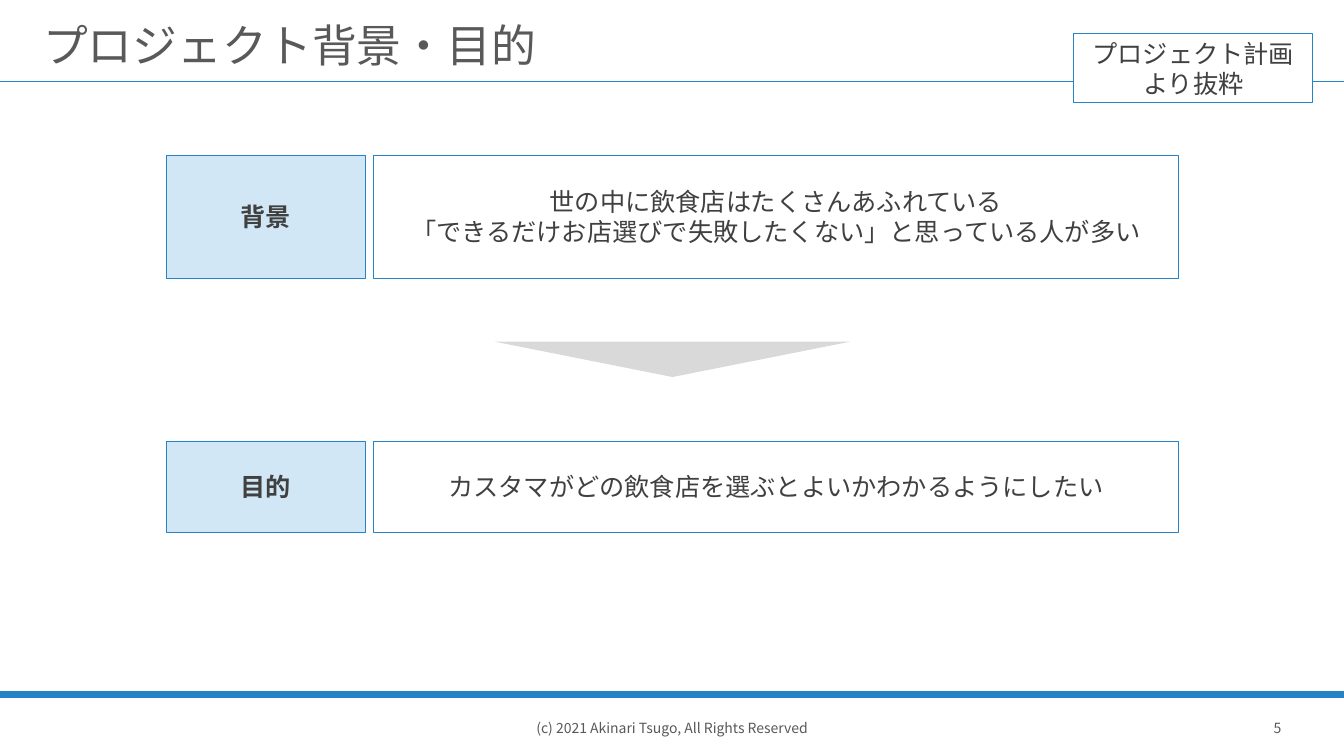
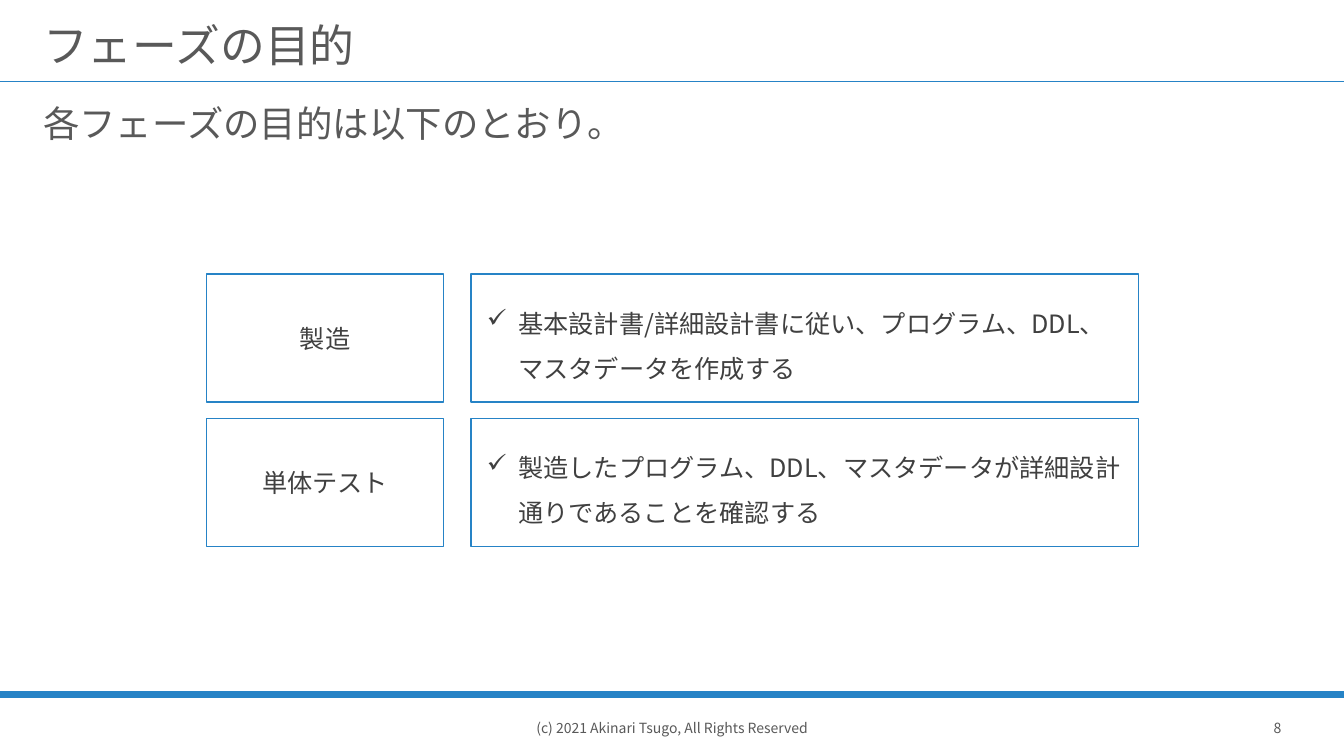
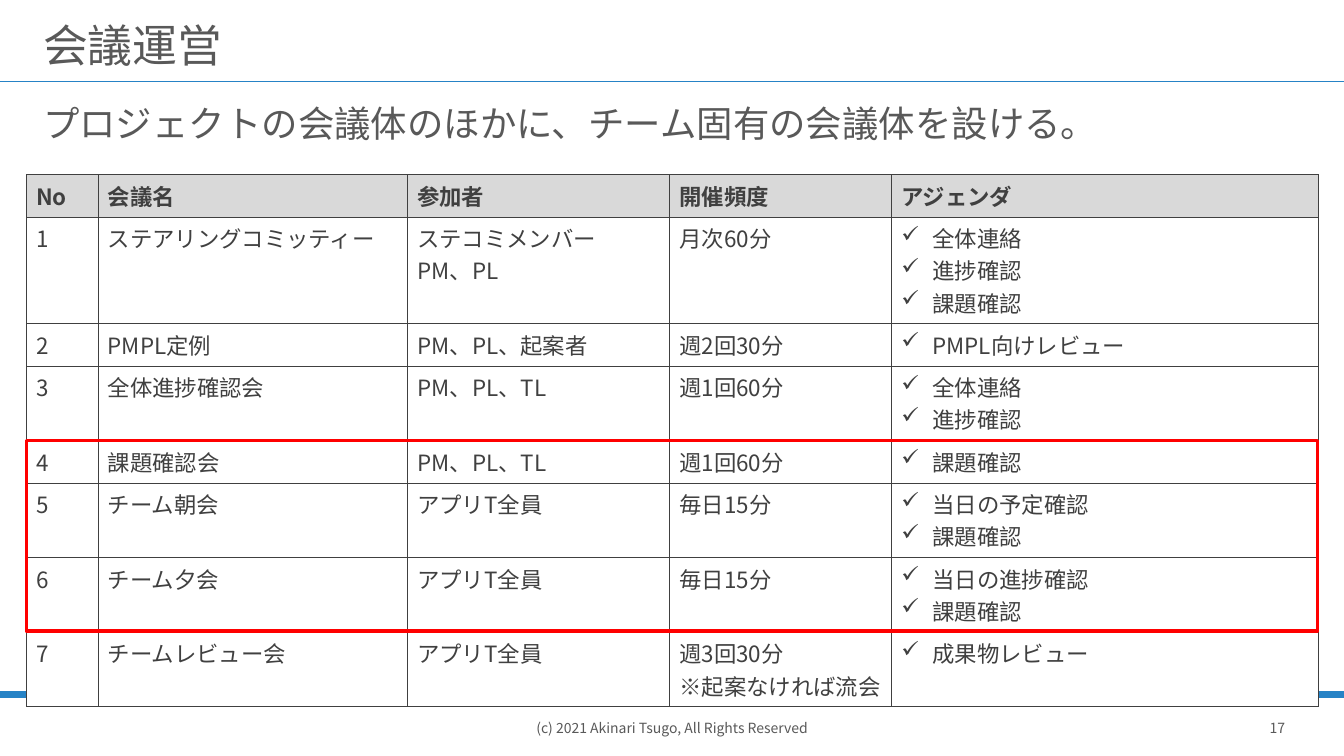
from dataclasses import dataclass

from lxml.etree import SubElement as Sub
from pptx import Presentation
from pptx.dml.color import RGBColor as Rgb
from pptx.enum.shapes import MSO_CONNECTOR as Conn, MSO_SHAPE as Form
from pptx.enum.text import MSO_ANCHOR as Anchor, PP_ALIGN as Align
from pptx.oxml.ns import qn
from pptx.util import Inches, Pt

FONT = "Noto Sans CJK JP"
COLORS = {
    "blue": "2683C6", "pale": "D1E7F6", "white": "FFFFFF", "gray": "D9D9D9",
    "head": "595959", "text": "404040", "red": "FF0000",
}
WIDTH, HEIGHT = 13.33, 7.5
INSET = (0.1, 0.05, 0.1, 0.05)
CHECK = "✓"
HANG = 0.31


@dataclass
class Box:
    """Position and size in inches."""
    left: float
    top: float
    width: float
    height: float

    def lengths(self) -> list:
        return [Inches(n) for n in (self.left, self.top, self.width, self.height)]


@dataclass
class Pair:
    """A label box with the box that explains it."""
    label: str
    text: str
    top: float
    height: float


@dataclass
class Meeting:
    name: str
    members: str
    cycle: str
    agenda: str
    height: float


def color(name: str) -> Rgb:
    return Rgb.from_string(COLORS[name])


# Text
def write(frame, text: str, *, size=18, tint="text", bold=False, align=Align.LEFT,
          space=1.0, before=0, bullet=False) -> None:
    """Fill a text frame, one paragraph for each line of text."""
    for i, line in enumerate(text.split("\n")):
        para = frame.paragraphs[0] if i == 0 else frame.add_paragraph()
        para.alignment = align
        para.line_spacing = space
        para.space_before = Pt(before)
        if bullet:
            props = para._p.get_or_add_pPr()
            props.set("marL", str(Inches(HANG)))
            props.set("indent", str(-Inches(HANG)))
            Sub(props, qn("a:buChar"), char=CHECK)
        run = para.add_run()
        run.text = line
        font = run.font
        font.size, font.bold, font.name = Pt(size), bold, FONT
        font.color.rgb = color(tint)
        Sub(run._r.get_or_add_rPr(), qn("a:ea"), typeface=FONT)


def fit(frame, inset=INSET, anchor=Anchor.MIDDLE, wrap=True) -> None:
    frame.word_wrap = wrap
    frame.vertical_anchor = anchor
    (frame.margin_left, frame.margin_top,
     frame.margin_right, frame.margin_bottom) = [Inches(n) for n in inset]


def add_text(slide, box: Box, text: str, inset=INSET, anchor=Anchor.MIDDLE,
             wrap=True, **style) -> None:
    frame = slide.shapes.add_textbox(*box.lengths()).text_frame
    fit(frame, inset, anchor, wrap)
    write(frame, text, **style)


# Shapes
def add_form(slide, box: Box, form=Form.RECTANGLE, fill=None, line=None, weight=1.0):
    shape = slide.shapes.add_shape(form, *box.lengths())
    shape.shadow.inherit = False
    if fill:
        shape.fill.solid()
        shape.fill.fore_color.rgb = color(fill)
    else:
        shape.fill.background()
    if line:
        shape.line.color.rgb = color(line)
        shape.line.width = Pt(weight)
    else:
        shape.line.fill.background()
    return shape


def add_panel(slide, box: Box, text: str, fill="white", weight=1.0, inset=INSET,
              **style) -> None:
    frame = add_form(slide, box, fill=fill, line="blue", weight=weight).text_frame
    fit(frame, inset)
    write(frame, text, **style)


def add_rule(slide, top: float, weight: float) -> None:
    rule = slide.shapes.add_connector(
        Conn.STRAIGHT, 0, Inches(top), Inches(WIDTH), Inches(top))
    rule.line.color.rgb = color("blue")
    rule.line.width = Pt(weight)
    Sub(rule._element.spPr, qn("a:effectLst"))


# Parts that all slides share
def add_page(deck, title: str, number: int, lead=""):
    slide = deck.slides.add_slide(deck.slide_layouts[6])
    add_rule(slide, 0.81, 1)
    add_rule(slide, 6.89, 4.5)
    for box, text in ((Box(12.34, 6.95, 0.66, 0.55), str(number)),
                      (Box(4.62, 6.95, 4.09, 0.55),
                       "(c) 2021 Akinari Tsugo, All Rights Reserved")):
        add_text(slide, box, text, wrap=False, size=10, tint="head", align=Align.CENTER)
    add_text(slide, Box(0.33, 0.06, 12.67, 0.69), title, inset=(0.1, 0.2, 0.1, 0.05),
             size=32, tint="head", space=0.9)
    if lead:
        add_text(slide, Box(0.33, 1, 12.67, 0.73), lead, anchor=Anchor.TOP,
                 size=26, tint="head", space=0.9, before=10)
    return slide


# Table
def set_cell(cell, text: str, fill="white", anchor=Anchor.TOP, **style) -> None:
    props = cell._tc.get_or_add_tcPr()
    for side in ("lnL", "lnR", "lnT", "lnB"):
        edge = Sub(props, qn(f"a:{side}"), w=str(Pt(0.25)))
        paint = Sub(edge, qn("a:solidFill"))
        Sub(paint, qn("a:srgbClr"), val=COLORS["text"])
    cell.fill.solid()
    cell.fill.fore_color.rgb = color(fill)
    cell.vertical_anchor = anchor
    write(cell.text_frame, text, size=16, **style)


def add_grid(slide, left: float, top: float, widths: list, heads: list,
             rows: list) -> None:
    heights = [0.42] + [row.height for row in rows]
    box = Box(left, top, sum(widths), sum(heights))
    table = slide.shapes.add_table(len(heights), len(widths), *box.lengths()).table
    table.first_row = table.horz_banding = False
    for col, width in zip(table.columns, widths):
        col.width = Inches(width)
    for row, height in zip(table.rows, heights):
        row.height = Inches(height)
    for c, head in enumerate(heads):
        set_cell(table.cell(0, c), head, fill="gray", anchor=Anchor.MIDDLE, bold=True)
    for r, row in enumerate(rows, 1):
        texts = (str(r), row.name, row.members, row.cycle, row.agenda)
        for c, text in enumerate(texts):
            set_cell(table.cell(r, c), text, bullet=c == len(texts) - 1)


# Slides
def add_goal(deck) -> None:
    slide = add_page(deck, "プロジェクト背景・目的", 5)
    arrow = add_form(slide, Box(4.91, 3.39, 3.52, 0.35), Form.ISOSCELES_TRIANGLE, "gray")
    arrow.rotation = 180
    pairs = [
        Pair("背景", "世の中に飲食店はたくさんあふれている\n"
             "「できるだけお店選びで失敗したくない」と思っている人が多い", 1.54, 1.22),
        Pair("目的", "カスタマがどの飲食店を選ぶとよいかわかるようにしたい", 4.38, 0.9),
    ]
    look = dict(weight=0.25, inset=(0.24, 0.08, 0.24, 0.08), align=Align.CENTER)
    for pair in pairs:
        add_panel(slide, Box(3.7, pair.top, 7.99, pair.height), pair.text, **look)
        add_panel(slide, Box(1.65, pair.top, 1.97, pair.height), pair.label,
                  fill="pale", bold=True, **look)
    add_panel(slide, Box(10.65, 0.33, 2.37, 0.69), "プロジェクト計画より抜粋",
              align=Align.CENTER)


def add_phases(deck) -> None:
    slide = add_page(deck, "フェーズの目的", 8, "各フェーズの目的は以下のとおり。")
    texts = {
        "製造": "基本設計書/詳細設計書に従い、プログラム、DDL、マスタデータを作成する",
        "単体テスト": "製造したプログラム、DDL、マスタデータが詳細設計通りであることを確認する",
    }
    top, height, gap = 2.72, 1.27, 0.16
    for i, (label, text) in enumerate(texts.items()):
        pair = Pair(label, text, top + i * (height + gap), height)
        add_panel(slide, Box(4.67, pair.top, 6.62, pair.height), pair.text,
                  inset=(0.16, 0.08, 0.16, 0.08), space=1.5, bullet=True)
        add_panel(slide, Box(2.05, pair.top, 2.35, pair.height), pair.label,
                  align=Align.CENTER)


def add_meetings(deck) -> None:
    slide = add_page(deck, "会議運営", 17,
                     "プロジェクトの会議体のほかに、チーム固有の会議体を設ける。")
    rows = [
        Meeting("ステアリングコミッティー", "ステコミメンバー\nPM、PL", "月次60分",
                "全体連絡\n進捗確認\n課題確認", 1.06),
        Meeting("PMPL定例", "PM、PL、起案者", "週2回30分", "PMPL向けレビュー", 0.42),
        Meeting("全体進捗確認会", "PM、PL、TL", "週1回60分", "全体連絡\n進捗確認", 0.74),
        Meeting("課題確認会", "PM、PL、TL", "週1回60分", "課題確認", 0.42),
        Meeting("チーム朝会", "アプリT全員", "毎日15分", "当日の予定確認\n課題確認", 0.74),
        Meeting("チーム夕会", "アプリT全員", "毎日15分", "当日の進捗確認\n課題確認", 0.74),
        Meeting("チームレビュー会", "アプリT全員", "週3回30分\n※起案なければ流会",
                "成果物レビュー", 0.74),
    ]
    add_grid(slide, 0.26, 1.73, [0.71, 3.07, 2.6, 2.2, 4.23],
             ["No", "会議名", "参加者", "開催頻度", "アジェンダ"], rows)
    # Frame around the team meetings
    add_form(slide, Box(0.26, 4.37, 12.81, 1.89), line="red", weight=2.25)


def main() -> None:
    deck = Presentation()
    deck.slide_width, deck.slide_height = Inches(WIDTH), Inches(HEIGHT)
    for build in (add_goal, add_phases, add_meetings):
        build(deck)
    deck.save("out.pptx")


if __name__ == "__main__":
    main()
